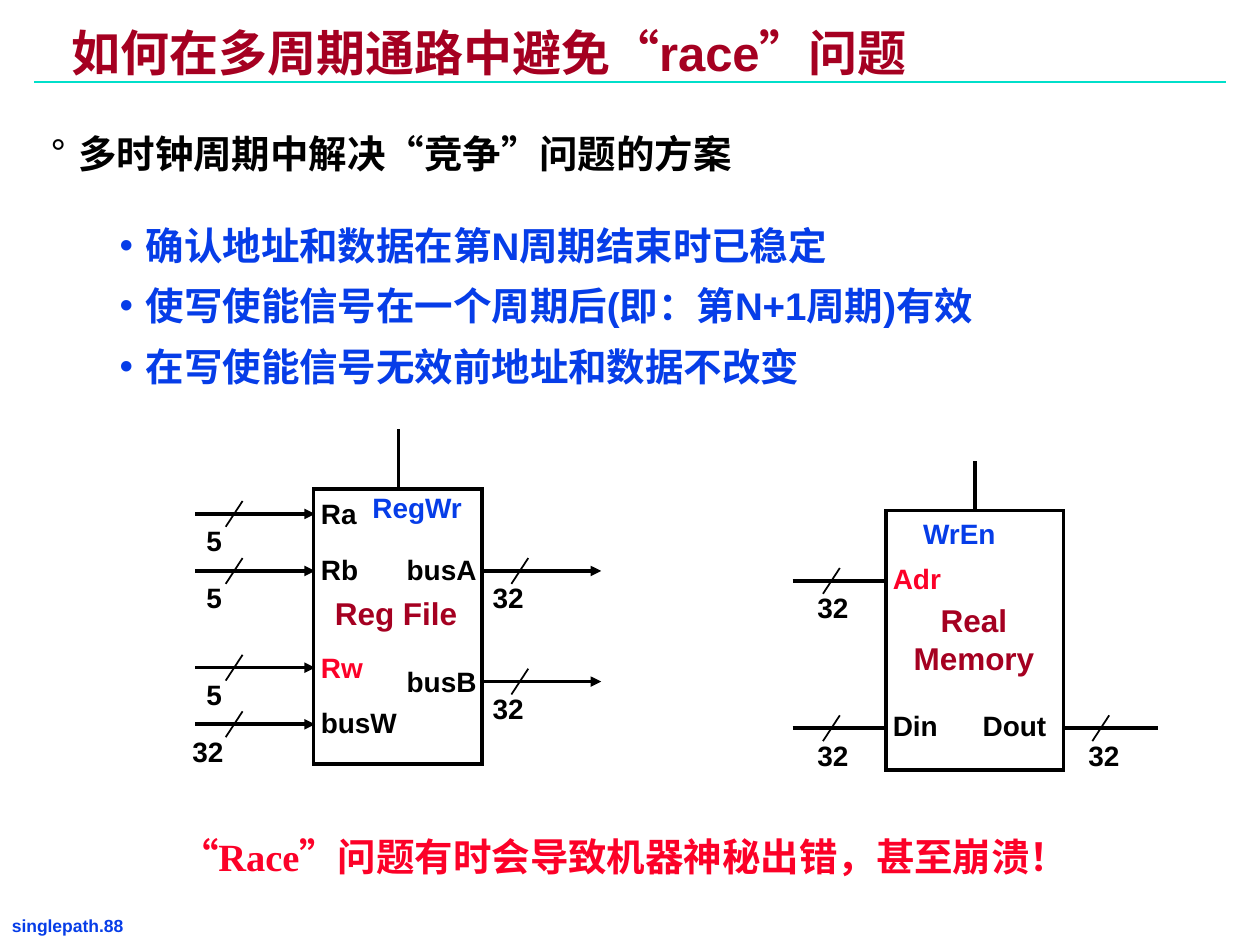
from dataclasses import dataclass

from lxml import etree
from pptx import Presentation
from pptx.dml.color import RGBColor
from pptx.enum.shapes import MSO_CONNECTOR, MSO_SHAPE
from pptx.enum.text import PP_ALIGN
from pptx.oxml.ns import qn
from pptx.util import Cm, Pt

STRAIGHT = MSO_CONNECTOR.STRAIGHT
RECTANGLE = MSO_SHAPE.RECTANGLE
LEFT = PP_ALIGN.LEFT
CENTER = PP_ALIGN.CENTER

COLORS = {
    "black": "000000",
    "blue": "063DE8",
    "crimson": "A50021",
    "red": "FC0128",
    "teal": "00DFCA",
}


@dataclass(frozen=True)
class Label:
    text: str
    left: float
    top: float
    width: float
    color: str = "black"


@dataclass(frozen=True)
class Bus:
    start: float
    end: float
    y: float
    bits: str
    label_shift: float
    arrow: bool = False


@dataclass(frozen=True)
class Unit:
    left: float
    top: float
    width: float
    height: float
    stem_x: float
    stem_top: float
    name: tuple[str, ...]
    name_left: float
    name_top: float
    name_width: float


UNITS = [
    Unit(6.32, 9.86, 3.4, 5.54, 8.03, 8.64, ("Reg File",), 6.5, 11.84, 2.97),
    Unit(17.86, 10.29, 3.58, 5.23, 19.66, 9.3, ("Real", "Memory"), 18.16, 11.99, 2.95),
]

LABELS = [
    Label("Ra", 6.22, 9.88, 1.22),
    Label("Rb", 6.22, 11, 1.24),
    Label("Rw", 6.22, 12.98, 1.35, "red"),
    Label("busW", 6.22, 14.1, 2.03),
    Label("busA", 7.95, 11, 1.9),
    Label("busB", 7.95, 13.26, 1.9),
    Label("RegWr", 7.26, 9.75, 2.59, "blue"),
    Label("Adr", 17.75, 11.2, 1.47, "red"),
    Label("Din", 17.75, 14.15, 1.42),
    Label("WrEn", 18.36, 10.29, 1.98, "blue"),
    Label("Dout", 19.56, 14.15, 1.78),
]

BUSES = [
    *(Bus(3.94, 6.35, y, "5", -0.03, True) for y in (10.36, 11.51, 13.46)),
    Bus(3.94, 6.35, 14.6, "32", -0.31, True),
    *(Bus(9.7, 12.12, y, "32", -0.02, True) for y in (11.51, 13.74)),
    *(Bus(15.98, 17.88, y, "32", 0.25) for y in (11.71, 14.68)),
    Bus(21.41, 23.34, 14.68, "32", 0.28),
]

BIT_WIDTHS = {"5": 0.81, "32": 1.2}

STEPS = [
    "确认地址和数据在第N周期结束时已稳定",
    "使写使能信号在一个周期后(即：第N+1周期)有效",
    "在写使能信号无效前地址和数据不改变",
]


def color_of(name: str) -> RGBColor:
    return RGBColor.from_string(COLORS[name])


def add_frame(page, left: float, top: float, width: float, height: float, *,
              inset: tuple[float, float, float] = (0.18, 0.08, 0.18)):
    box = page.shapes.add_textbox(Cm(left), Cm(top), Cm(width), Cm(height))
    frame = box.text_frame
    frame.word_wrap = True
    frame.margin_left, frame.margin_right = Cm(inset[0]), Cm(inset[2])
    frame.margin_top = frame.margin_bottom = Cm(inset[1])
    return frame


def write(frame, text: str, *, size: float = 16, color: str = "black",
          font: str = "Arial", align=LEFT, spacing: float = 1,
          before: float = 0, bullet: str = "", margin: float = 0,
          hang: float = 0) -> None:
    para = frame.paragraphs[0]
    if para.runs:
        para = frame.add_paragraph()
    para.alignment = align
    para.line_spacing = spacing
    para.space_before = Pt(before)
    if bullet:
        props = para._p.get_or_add_pPr()
        props.set("marL", str(Cm(margin)))
        props.set("indent", str(-Cm(hang)))
        bullet_color = etree.SubElement(props, qn("a:buClr"))
        etree.SubElement(bullet_color, qn("a:srgbClr"), val=COLORS[color])
        etree.SubElement(props, qn("a:buFont"), typeface=font)
        etree.SubElement(props, qn("a:buChar"), char=bullet)
    span = para.add_run()
    span.text = text
    span.font.size = Pt(size)
    span.font.name = font
    span.font.bold = True
    span.font.color.rgb = color_of(color)


def draw_line(page, x1: float, y1: float, x2: float, y2: float, *,
              width: float = 2, color: str = "black", arrow: bool = False) -> None:
    line = page.shapes.add_connector(STRAIGHT, Cm(x1), Cm(y1), Cm(x2), Cm(y2))
    line.line.width = Pt(width)
    line.line.color.rgb = color_of(color)
    if arrow:
        etree.SubElement(line.line._get_or_add_ln(), qn("a:tailEnd"), type="triangle")
    etree.SubElement(line._element.spPr, qn("a:effectLst"))


def draw_label(page, label: Label) -> None:
    frame = add_frame(page, label.left, label.top, label.width, 0.91,
                      inset=(0.25, 0.13, 0))
    write(frame, label.text, color=label.color)


def draw_unit(page, unit: Unit) -> None:
    box = page.shapes.add_shape(RECTANGLE, Cm(unit.left), Cm(unit.top),
                                Cm(unit.width), Cm(unit.height))
    box.shadow.inherit = False
    box.fill.background()
    box.line.color.rgb = color_of("black")
    box.line.width = Pt(2)
    etree.SubElement(box.line._get_or_add_ln(), qn("a:miter"), lim="800000")
    draw_line(page, unit.stem_x, unit.top, unit.stem_x, unit.stem_top)
    frame = add_frame(page, unit.name_left, unit.name_top, unit.name_width,
                      0.25 + 0.76 * len(unit.name), inset=(0.13, 0.13, 0.13))
    for word in unit.name:
        write(frame, word, size=18, color="crimson", align=CENTER)


def draw_bus(page, bus: Bus) -> None:
    draw_line(page, bus.start, bus.y, bus.end, bus.y, arrow=bus.arrow)
    middle = bus.start + 0.78
    draw_line(page, middle + 0.17, bus.y - 0.26, middle - 0.17, bus.y + 0.26, width=1)
    draw_label(page, Label(bus.bits, bus.start + bus.label_shift, bus.y + 0.07,
                           BIT_WIDTHS[bus.bits]))


def main() -> None:
    deck = Presentation()
    deck.slide_width, deck.slide_height = Cm(25.4), Cm(19.05)
    page = deck.slides.add_slide(deck.slide_layouts[6])

    write(add_frame(page, 0.06, 18.36, 3.91, 0.56), "singlepath.88", size=10, color="blue")
    draw_line(page, 0.69, 1.65, 24.71, 1.65, width=1.5, color="teal")
    write(add_frame(page, 1.27, 0.54, 20.27, 1.17), "如何在多周期通路中避免“race”问题",
          size=28, color="crimson", spacing=0.87)

    body = add_frame(page, 0.84, 2.54, 22.76, 5.33)
    write(body, "多时钟周期中解决“竞争”问题的方案", size=22, before=8.2,
          bullet="°", margin=0.56, hang=0.56)
    for index, step in enumerate(STEPS):
        write(body, step, size=22, color="blue", before=8.2 if index else 26,
              bullet="•", margin=1.92, hang=0.53)

    warning = add_frame(page, 3.38, 16.76, 17.98, 1.09, inset=(0.25, 0.13, 0.25))
    write(warning, "“Race”问题有时会导致机器神秘出错，甚至崩溃！", size=22,
          color="red", font="Times New Roman", spacing=0.9, before=11)

    for unit in UNITS:
        draw_unit(page, unit)
    for label in LABELS:
        draw_label(page, label)
    for bus in BUSES:
        draw_bus(page, bus)

    deck.save("out.pptx")


if __name__ == "__main__":
    main()
